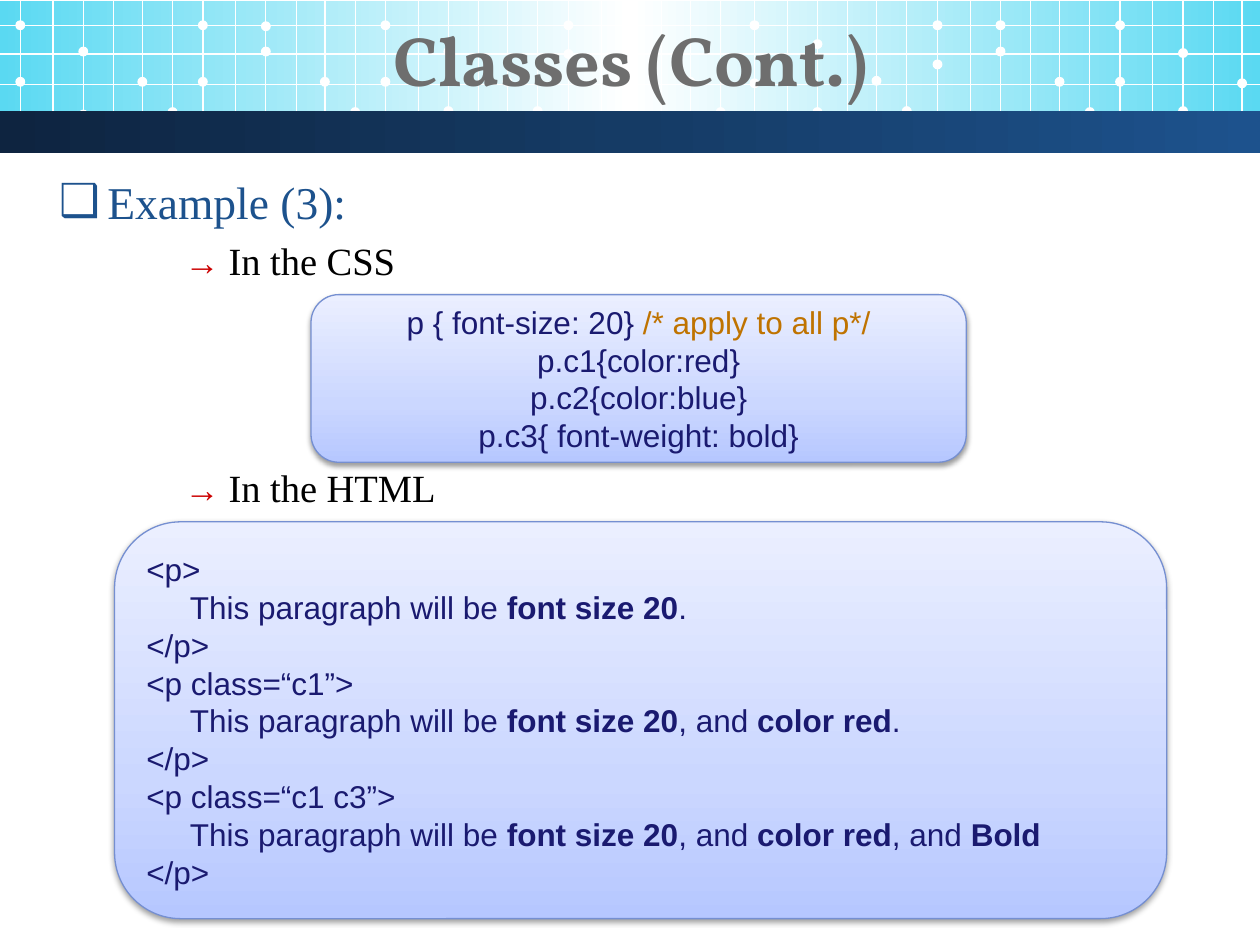
from dataclasses import dataclass
from itertools import zip_longest
from typing import NamedTuple

from pptx import Presentation
from pptx.dml.color import RGBColor
from pptx.enum import shapes, text
from pptx.oxml import parse_xml
from pptx.oxml.ns import nsdecls, qn
from pptx.util import Cm, Pt


@dataclass(frozen=True)
class Theme:
    white: str = "FFFFFF"
    title: str = "6E6E6E"
    heading: str = "1D528D"
    body: str = "000000"
    arrow: str = "CC0000"
    code: str = "1A1A70"
    comment: str = "BF7300"
    code_line: str = "758FD1"
    header_fill: tuple = ((0, "5AD9F2"), (50, "FFFFFF"), (100, "5AD9F2"))
    band_fill: tuple = ((0, "0E2440"), (50, "153B65"), (100, "1D528D"))
    code_fill: tuple = ((0, "B6C7FF"), (35, "CBD7FF"), (100, "EBEFFF"))
    title_font: str = "Vollkorn"
    body_font: str = "Times New Roman"
    code_font: str = "Arial"
    title_size: int = 40
    heading_size: int = 26
    body_size: int = 22
    arrow_size: int = 20
    code_size: int = 18
    thin: float = 0.75


class Box(NamedTuple):
    left: float
    top: float
    width: float
    height: float

    def lengths(self) -> list:
        return [Cm(value) for value in self]


class Span(NamedTuple):
    words: str
    color: str
    size: int
    font: str
    bold: bool = False


class CodeLine(NamedTuple):
    spans: list
    indented: bool = False


THEME = Theme()
WIDTH, HEIGHT = 25.4, 19.05
HEADER = Box(0, 0.03, WIDTH, 2.59)
BAND = Box(0, 2.24, WIDTH, 0.84)
CODE_INDENT = 0.88
HANGING = 0.97

# The header grid repeats a tile of six columns; dots sit on four of them.
TILE_STARTS = (0.41, 4.09, 7.77, 11.46, 15.21, 18.9, 22.58)
COLUMN_OFFSETS = (0, 0.66, 1.27, 1.88, 2.46, 3.07)
ROWS = (0.51, 1.09, 1.7, 2.26)
GRID_BOTTOM = 2.79
DOT = 0.2
DOT_COLUMNS = (0, 2, 4, 5)
TILE_DOTS = (
    ((0.51, 1.65), (1.04, 2.31), (1.65,), (2.26,)),
    ((0.51, 1.65), (0.53, 1.04), (1.65,), (2.26,)),
    ((0.51, 1.65), (1.04, 2.24), (1.65,), (2.24,)),
    ((0.51, 1.09), (0.51, 1.07), (1.65,), (2.26,)),
    ((0.51, 1.68), (0.89, 2.26), (1.63,), (2.24,)),
    ((0.51, 1.3), (0.51, 1.04), (1.65,), (2.26,)),
    ((0.51, 1.65), (1.07, 2.24), (1.68,)),
)


def code(words: str, bold: bool = False, color: str = THEME.code) -> Span:
    return Span(words, color, THEME.code_size, THEME.code_font, bold)


def sentence(*parts: str) -> CodeLine:
    """Indented line whose parts alternate between plain and bold."""
    return CodeLine([code(part, bold=i % 2 == 1) for i, part in enumerate(parts)], True)


CSS_LINES = [
    CodeLine([code("p { font-size: 20} "), code("/* apply to all p*/", color=THEME.comment)]),
    *(CodeLine([code(rule)]) for rule in
      ("p.c1{color:red}", "p.c2{color:blue}", "p.c3{ font-weight: bold}")),
]
LEAD = "This paragraph will be "
HTML_BLOCKS = (
    ("<p>", sentence(LEAD, "font size 20", ".")),
    ("<p class=“c1”>", sentence(LEAD, "font size 20", ", and ", "color red", ".")),
    ("<p class=“c1 c3”>",
     sentence(LEAD, "font size 20", ", and ", "color red", ", and ", "Bold")),
)
HTML_LINES = [line for opening, inner in HTML_BLOCKS
              for line in (CodeLine([code(opening)]), inner, CodeLine([code("</p>")]))]


def write(para, spans: list) -> None:
    for part in spans:
        span = para.add_run()
        span.text = part.words
        span.font.name = part.font
        span.font.size = Pt(part.size)
        span.font.bold = part.bold
        span.font.color.rgb = RGBColor.from_string(part.color)


def set_gradient(shape, stops: tuple, angle: int) -> None:
    marks = "".join(f'<a:gs pos="{pos * 1000}"><a:srgbClr val="{color}"/></a:gs>'
                    for pos, color in stops)
    fill = parse_xml(f'<a:gradFill {nsdecls("a")} rotWithShape="1"><a:gsLst>{marks}</a:gsLst>'
                     f'<a:lin ang="{angle * 60000}" scaled="0"/></a:gradFill>')
    shape._element.spPr.find(qn("a:prstGeom")).addnext(fill)


def add_bar(page, box: Box, stops: tuple) -> None:
    bar = page.shapes.add_shape(shapes.MSO_SHAPE.RECTANGLE, *box.lengths())
    bar.shadow.inherit = False
    bar.line.fill.background()
    set_gradient(bar, stops, 0)


def add_grid_line(page, x1: float, y1: float, x2: float, y2: float) -> None:
    line = page.shapes.add_connector(shapes.MSO_CONNECTOR.STRAIGHT,
                                     Cm(x1), Cm(y1), Cm(x2), Cm(y2))
    line.line.color.rgb = RGBColor.from_string(THEME.white)
    line.line.width = Pt(THEME.thin)
    line._element.spPr.append(parse_xml(f'<a:effectLst {nsdecls("a")}/>'))


def add_dot(page, x: float, y: float) -> None:
    box = Box(x - DOT / 2, y - DOT / 2, DOT, DOT)
    dot = page.shapes.add_shape(shapes.MSO_SHAPE.OVAL, *box.lengths())
    dot.shadow.inherit = False
    dot.fill.solid()
    dot.fill.fore_color.rgb = RGBColor.from_string(THEME.white)
    dot.line.fill.background()


def add_header(page) -> None:
    add_bar(page, HEADER, THEME.header_fill)
    for start, dots in zip(TILE_STARTS, TILE_DOTS):
        for offset in COLUMN_OFFSETS:
            if start + offset < WIDTH:
                add_grid_line(page, start + offset, 0, start + offset, GRID_BOTTOM)
        for column, heights in zip_longest(DOT_COLUMNS, dots, fillvalue=()):
            for y in heights:
                add_dot(page, start + COLUMN_OFFSETS[column], y)
    for y in ROWS:
        add_grid_line(page, 0, y, WIDTH, y)
    add_bar(page, BAND, THEME.band_fill)


def place(page, holder, box: Box):
    """Move a placeholder to the box, in front of what is drawn so far."""
    holder.left, holder.top, holder.width, holder.height = box.lengths()
    page.shapes._spTree.append(holder._element)
    frame = holder.text_frame
    frame.auto_size = text.MSO_AUTO_SIZE.NONE
    frame.vertical_anchor = text.MSO_ANCHOR.TOP
    return frame


def set_bullet(para, margin: float, bullet: str = "") -> None:
    props = para._p.get_or_add_pPr()
    props.set("marL", str(Cm(margin)))
    props.set("indent", str(-Cm(HANGING)))
    mark = f'<a:buChar {nsdecls("a")} char="{bullet}"/>' if bullet else f'<a:buNone {nsdecls("a")}/>'
    props.append(parse_xml(mark))


def add_outline(page) -> None:
    frame = place(page, page.placeholders[1], Box(0.94, 3.38, 23.85, 14.68))
    para = frame.paragraphs[0]
    para.space_before = Pt(5)
    write(para, [Span("Example (3):", THEME.heading, THEME.heading_size, THEME.body_font)])
    set_bullet(para, HANGING, "❑")
    for words, gap in (("In the CSS", 5), ("In the HTML", 103)):
        para = frame.add_paragraph()
        para.level = 2
        para.space_before = Pt(gap)
        write(para, [Span("→ ", THEME.arrow, THEME.arrow_size, THEME.body_font, True),
                     Span(words, THEME.body, THEME.body_size, THEME.body_font)])
        set_bullet(para, 3.5)


def add_code_box(page, box: Box, lines: list, align) -> None:
    panel = page.shapes.add_shape(shapes.MSO_SHAPE.ROUNDED_RECTANGLE, *box.lengths())
    set_gradient(panel, THEME.code_fill, 270)
    panel.line.color.rgb = RGBColor.from_string(THEME.code_line)
    panel.line.width = Pt(THEME.thin)
    panel._element.spPr.append(parse_xml(
        f'<a:effectLst {nsdecls("a")}><a:outerShdw blurRad="{Pt(3.1)}" dist="{Pt(1.6)}" '
        'dir="5400000" rotWithShape="0"><a:srgbClr val="000000"><a:alpha val="38000"/>'
        '</a:srgbClr></a:outerShdw></a:effectLst>'))
    frame = panel.text_frame
    frame.word_wrap = True
    frame.vertical_anchor = text.MSO_ANCHOR.MIDDLE
    for i, line in enumerate(lines):
        para = frame.add_paragraph() if i else frame.paragraphs[0]
        para.alignment = align
        if line.indented:
            para._p.get_or_add_pPr().set("marL", str(Cm(CODE_INDENT)))
        write(para, line.spans)


def main() -> None:
    deck = Presentation()
    deck.slide_width, deck.slide_height = Cm(WIDTH), Cm(HEIGHT)
    page = deck.slides.add_slide(deck.slide_layouts[1])
    add_header(page)
    add_outline(page)
    title = place(page, page.shapes.title, Box(0.41, 0.2, 24.61, 1.78)).paragraphs[0]
    title.alignment = text.PP_ALIGN.CENTER
    write(title, [Span("Classes (Cont.)", THEME.title, THEME.title_size, THEME.title_font, True)])
    add_code_box(page, Box(6.27, 5.94, 13.21, 3.38), CSS_LINES, text.PP_ALIGN.CENTER)
    add_code_box(page, Box(2.31, 10.52, 21.21, 8), HTML_LINES, text.PP_ALIGN.LEFT)
    deck.save("out.pptx")


if __name__ == "__main__":
    main()
